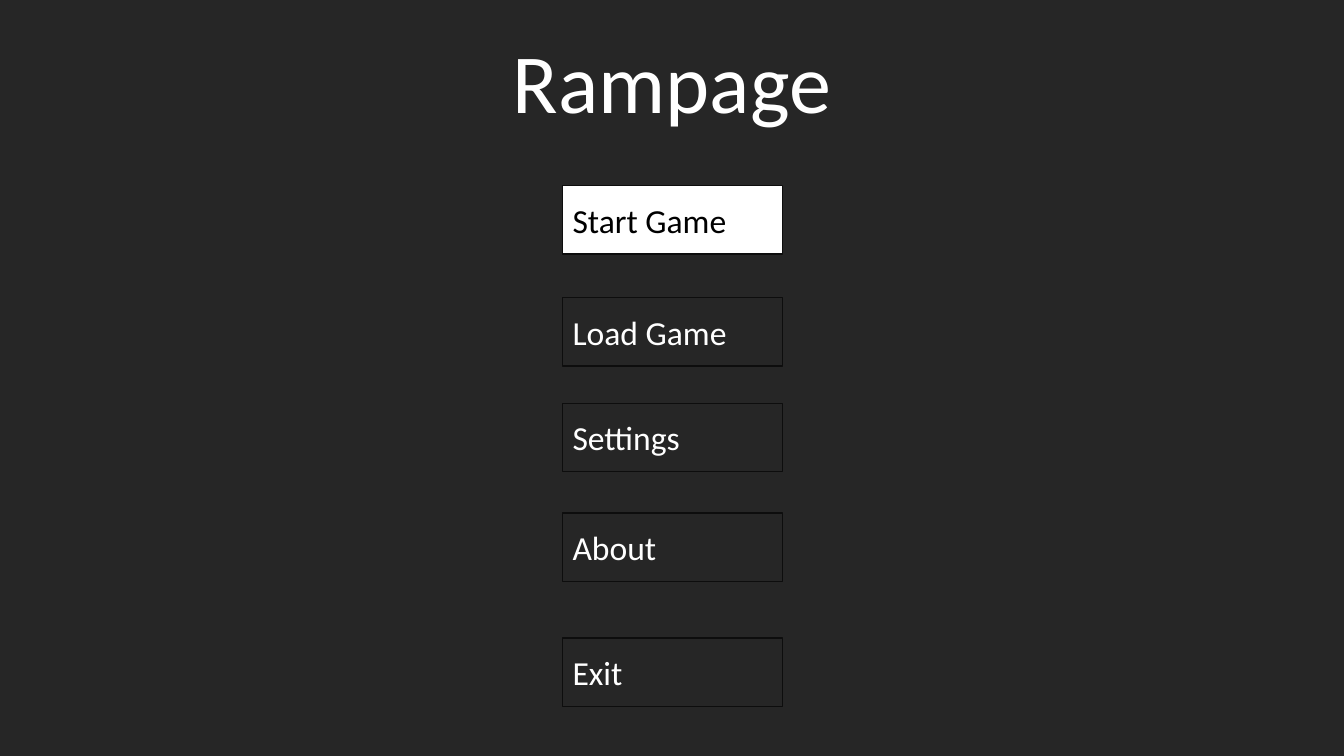
from pptx import Presentation
from pptx.dml.color import RGBColor
from pptx.enum.shapes import MSO_SHAPE
from pptx.enum.text import MSO_ANCHOR, MSO_AUTO_SIZE, PP_ALIGN
from pptx.util import Inches, Pt

RECTANGLE = MSO_SHAPE.RECTANGLE
MIDDLE = MSO_ANCHOR.MIDDLE
GROW = MSO_AUTO_SIZE.SHAPE_TO_FIT_TEXT
LEFT, CENTER = PP_ALIGN.LEFT, PP_ALIGN.CENTER

CHARCOAL = RGBColor(0x26, 0x26, 0x26)
OUTLINE = RGBColor(0x0D, 0x0D, 0x0D)
WHITE = RGBColor(0xFF, 0xFF, 0xFF)
BLACK = RGBColor(0x00, 0x00, 0x00)

SLIDE_WIDTH, SLIDE_HEIGHT = 13.33, 7.5
BUTTON_LEFT, BUTTON_WIDTH, BUTTON_HEIGHT = 5.58, 2.18, 0.68
MENU = [("Start Game", 1.84), ("Load Game", 2.95), ("Settings", 4),
        ("About", 5.09), ("Exit", 6.33)]
SELECTED = "Start Game"


def write_text(shape, text, size=24, color=WHITE, font="Calibri", align=LEFT):
    shape.text_frame.word_wrap = True
    paragraph = shape.text_frame.paragraphs[0]
    paragraph.alignment = align
    run = paragraph.add_run()
    run.text = text
    run.font.name = font
    run.font.size = Pt(size)
    run.font.color.rgb = color


class MenuSlide:
    def __init__(self, slide, line_width=1):
        self.slide = slide
        self.line_width = Pt(line_width)

    def box(self, left, top, width, height, fill, line):
        shape = self.slide.shapes.add_shape(
            RECTANGLE, Inches(left), Inches(top), Inches(width), Inches(height))
        shape.shadow.inherit = False
        shape.fill.solid()
        shape.fill.fore_color.rgb = fill
        shape.line.color.rgb = line
        shape.line.width = self.line_width
        return shape

    def button(self, label, top, selected):
        fill, color = (WHITE, BLACK) if selected else (CHARCOAL, WHITE)
        shape = self.box(BUTTON_LEFT, top, BUTTON_WIDTH, BUTTON_HEIGHT, fill, OUTLINE)
        shape.text_frame.vertical_anchor = MIDDLE
        write_text(shape, label, color=color)

    def title(self, text, top, height):
        shape = self.slide.shapes.add_textbox(
            Inches(0), Inches(top), Inches(SLIDE_WIDTH), Inches(height))
        shape.text_frame.auto_size = GROW
        write_text(shape, text, size=60, align=CENTER)


presentation = Presentation()
presentation.slide_width = Inches(SLIDE_WIDTH)
presentation.slide_height = Inches(SLIDE_HEIGHT)
menu_slide = MenuSlide(presentation.slides.add_slide(presentation.slide_layouts[6]))

# Backdrop
menu_slide.box(0, 0, SLIDE_WIDTH, SLIDE_HEIGHT, CHARCOAL, CHARCOAL)

# Menu buttons
for label, top in MENU:
    menu_slide.button(label, top, selected=label == SELECTED)

# Game title
menu_slide.title("Rampage", 0.24, 1.11)

presentation.save("out.pptx")
